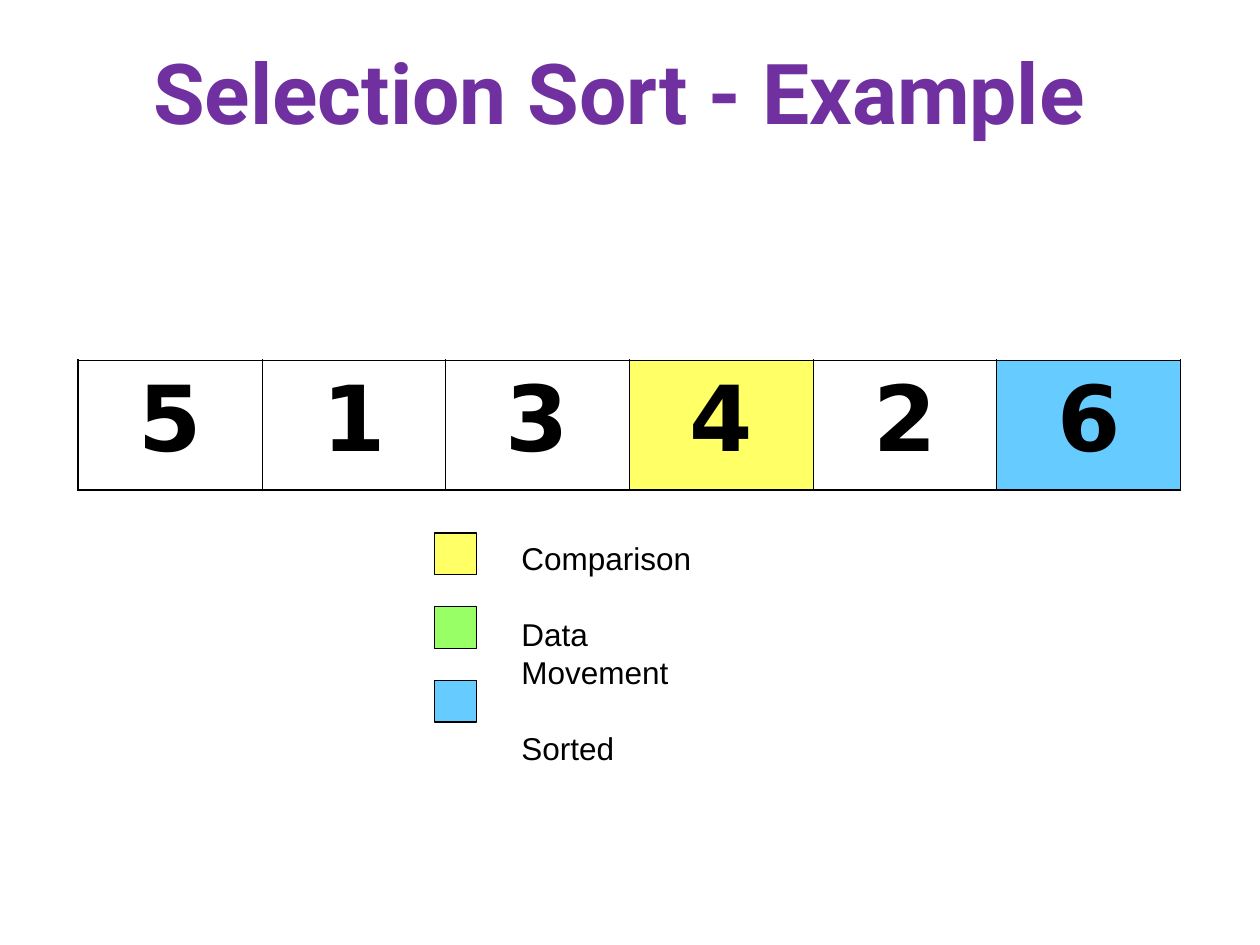
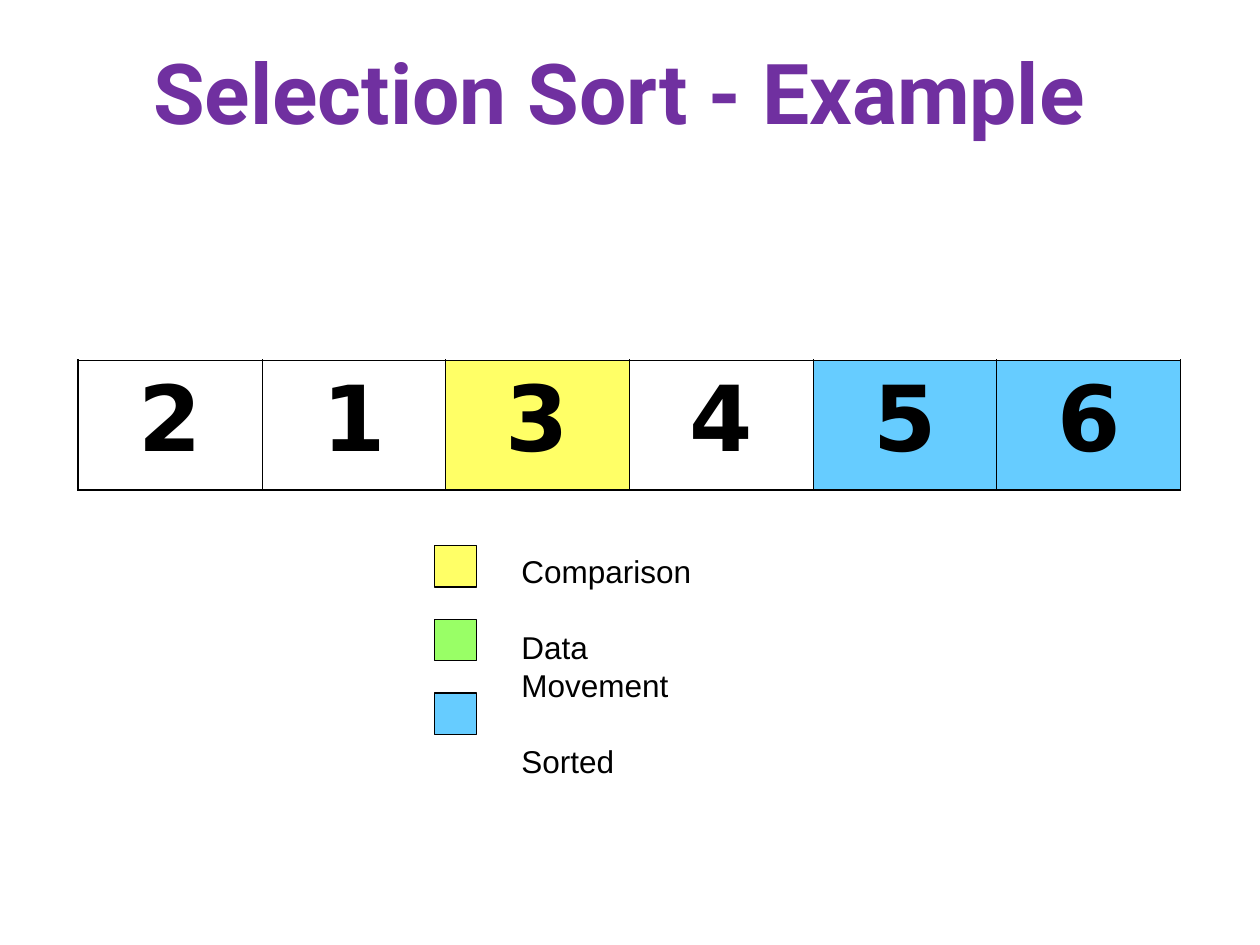
from dataclasses import dataclass

from lxml import etree
from pptx import Presentation
from pptx.dml.color import RGBColor
from pptx.enum.shapes import MSO_SHAPE as Shape
from pptx.enum.text import MSO_ANCHOR as Anchor, MSO_AUTO_SIZE as AutoSize, PP_ALIGN as Align
from pptx.oxml.ns import qn
from pptx.util import Inches, Pt


@dataclass(frozen=True)
class Theme:
    title_color: str = "7030A0"
    ink: str = "000000"
    comparison: str = "FFFF66"
    movement: str = "99FF66"
    sorted: str = "66CCFF"
    title_font: str = "Roboto"
    value_font: str = "DejaVu Sans"
    label_font: str = "Arial"
    title_size: float = 48
    value_size: float = 52
    label_size: float = 18
    label_leading: float = 21.7
    outer_line: float = 1.08
    inner_line: float = 0.45
    swatch_line: float = 0.75


THEME = Theme()
LEGEND = (
    ("Comparison", THEME.comparison),
    ("Data Movement", THEME.movement),
    ("Sorted", THEME.sorted),
)

# Each step: array values, fill by cell index, top of the legend in inches
STEPS = (
    ((5, 1, 3, 4, 2, 6), {3: THEME.comparison, 5: THEME.sorted}, 4.23),
    ((2, 1, 3, 4, 5, 6),
     {2: THEME.comparison, 4: THEME.sorted, 5: THEME.sorted}, 4.33),
)


class SortDeck:
    def __init__(self, theme):
        self.theme = theme
        self.deck = Presentation()
        self.deck.slide_width = Inches(10)
        self.deck.slide_height = Inches(7.5)
        self.page = None

    def add_page(self):
        self.page = self.deck.slides.add_slide(self.deck.slide_layouts[6])

    def style_paragraph(self, para, font, size, color, bold=False):
        para.font.name = font
        para.font.size = Pt(size)
        para.font.bold = bold
        para.font.color.rgb = RGBColor.from_string(color)

    def add_title(self, text):
        box = self.page.shapes.add_textbox(
            Inches(0.25), Inches(0.2), Inches(9.5), Inches(1.05))
        frame = box.text_frame
        frame.word_wrap = True
        frame.vertical_anchor = Anchor.MIDDLE
        para = frame.paragraphs[0]
        para.text = text
        para.alignment = Align.CENTER
        self.style_paragraph(para, self.theme.title_font, self.theme.title_size,
                             self.theme.title_color, bold=True)

    def add_array(self, values, fills):
        """Draw the array as a one-row table, with a heavier outer border."""
        width = Inches(8.75)
        table = self.page.shapes.add_table(
            1, len(values), Inches(0.62), Inches(2.86), width, Inches(1.03)).table
        table.first_row = table.horz_banding = False
        last = len(values) - 1
        for index, value in enumerate(values):
            table.columns[index].width = width // len(values)
            cell = table.cell(0, index)
            para = cell.text_frame.paragraphs[0]
            para.text = str(value)
            para.alignment = Align.CENTER
            self.style_paragraph(para, self.theme.value_font,
                                 self.theme.value_size, self.theme.ink, bold=True)
            outer, inner = self.theme.outer_line, self.theme.inner_line
            self.set_borders(cell, {
                "L": outer if index == 0 else inner,
                "R": outer if index == last else inner,
                "T": outer,
                "B": outer,
            })
            if index in fills:
                cell.fill.solid()
                cell.fill.fore_color.rgb = RGBColor.from_string(fills[index])
            else:
                cell.fill.background()

    def set_borders(self, cell, widths):
        properties = cell._tc.get_or_add_tcPr()
        for side, points in widths.items():
            line = etree.SubElement(properties, qn(f"a:ln{side}"), w=str(Pt(points)))
            fill = etree.SubElement(line, qn("a:solidFill"))
            etree.SubElement(fill, qn("a:srgbClr"), val=self.theme.ink)

    def add_swatch(self, top, color):
        swatch = self.page.shapes.add_shape(
            Shape.RECTANGLE, Inches(3.45), top, Inches(0.33), Inches(0.33))
        swatch.shadow.inherit = False
        swatch.fill.solid()
        swatch.fill.fore_color.rgb = RGBColor.from_string(color)
        swatch.line.color.rgb = RGBColor.from_string(self.theme.ink)
        swatch.line.width = Pt(self.theme.swatch_line)

    def add_legend(self, top, entries):
        pitch = Inches(1.17) // 2
        for index, (_, color) in enumerate(entries):
            self.add_swatch(Inches(top) + index * pitch, color)
        box = self.page.shapes.add_textbox(
            Inches(4.04), Inches(top), Inches(1.96), Inches(1.6))
        frame = box.text_frame
        frame.word_wrap = False
        frame.auto_size = AutoSize.SHAPE_TO_FIT_TEXT
        leading = Pt(self.theme.label_leading)
        for index, (label, _) in enumerate(entries):
            para = frame.add_paragraph() if index else frame.paragraphs[0]
            para.text = label
            para.alignment = Align.LEFT
            para.line_spacing = leading
            if index:
                para.space_before = leading
            self.style_paragraph(para, self.theme.label_font,
                                 self.theme.label_size, self.theme.ink)


def main():
    sort_deck = SortDeck(THEME)
    for values, fills, legend_top in STEPS:
        sort_deck.add_page()
        sort_deck.add_array(values, fills)
        sort_deck.add_legend(legend_top, LEGEND)
        sort_deck.add_title("Selection Sort - Example ")
    sort_deck.deck.save("out.pptx")


if __name__ == "__main__":
    main()
